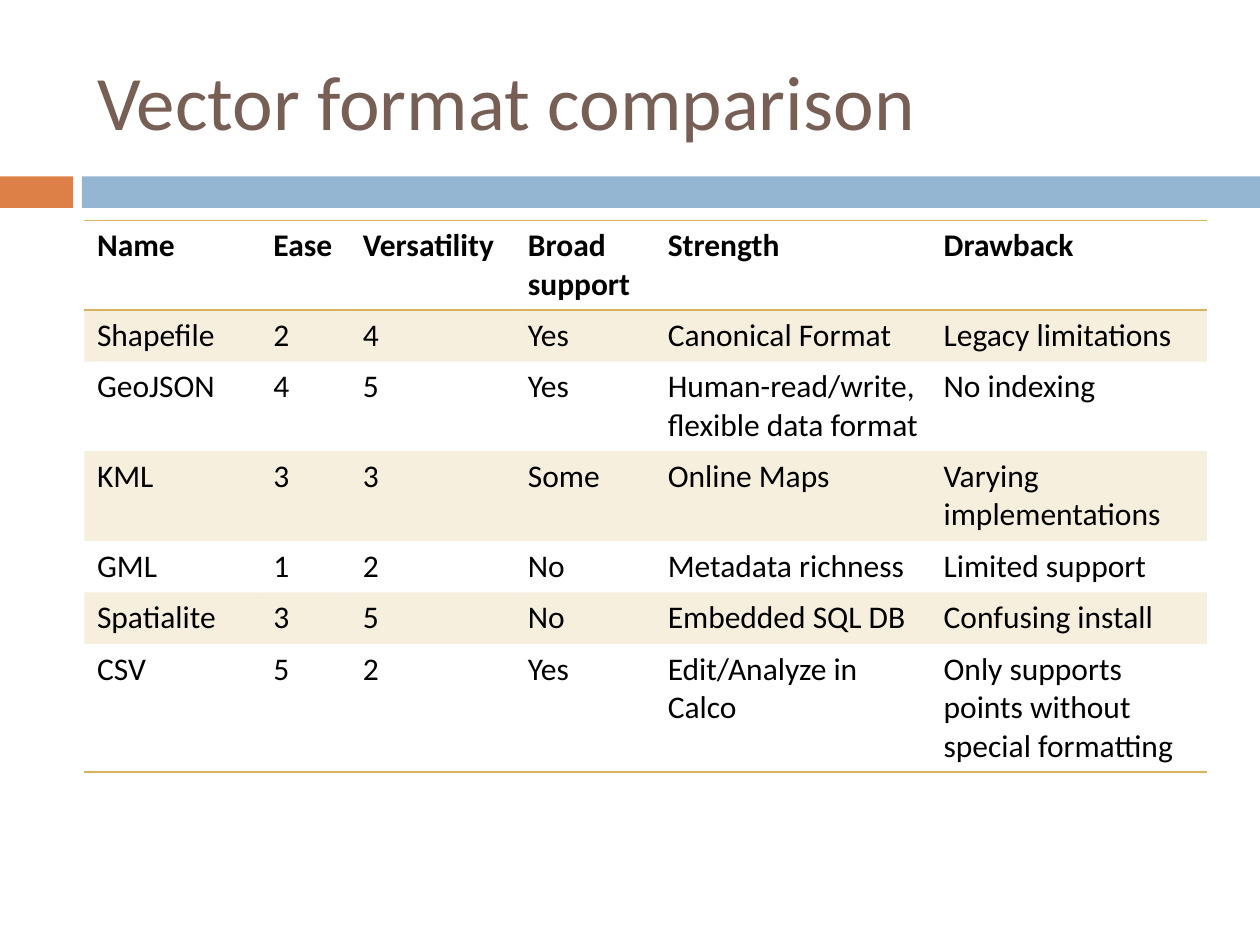
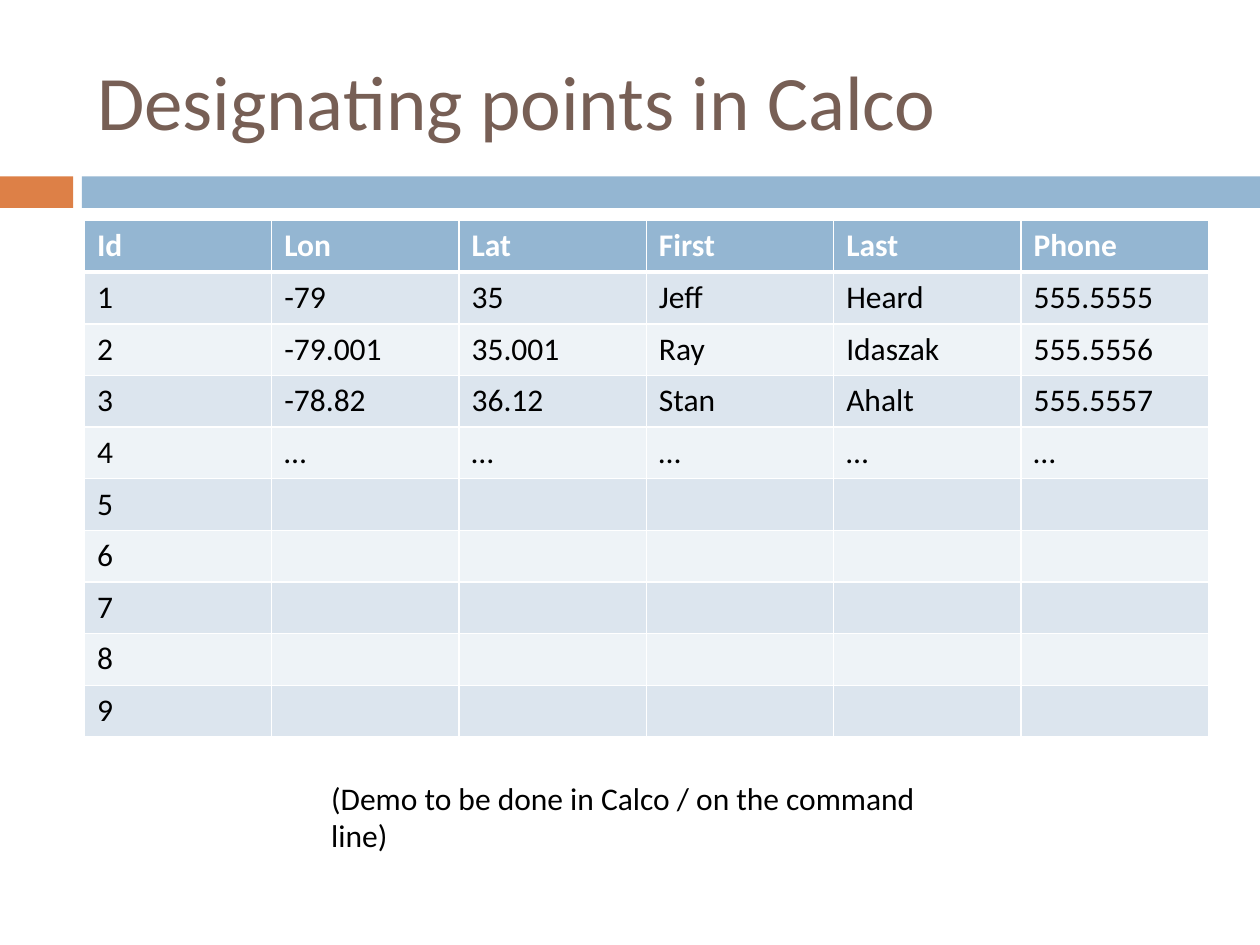
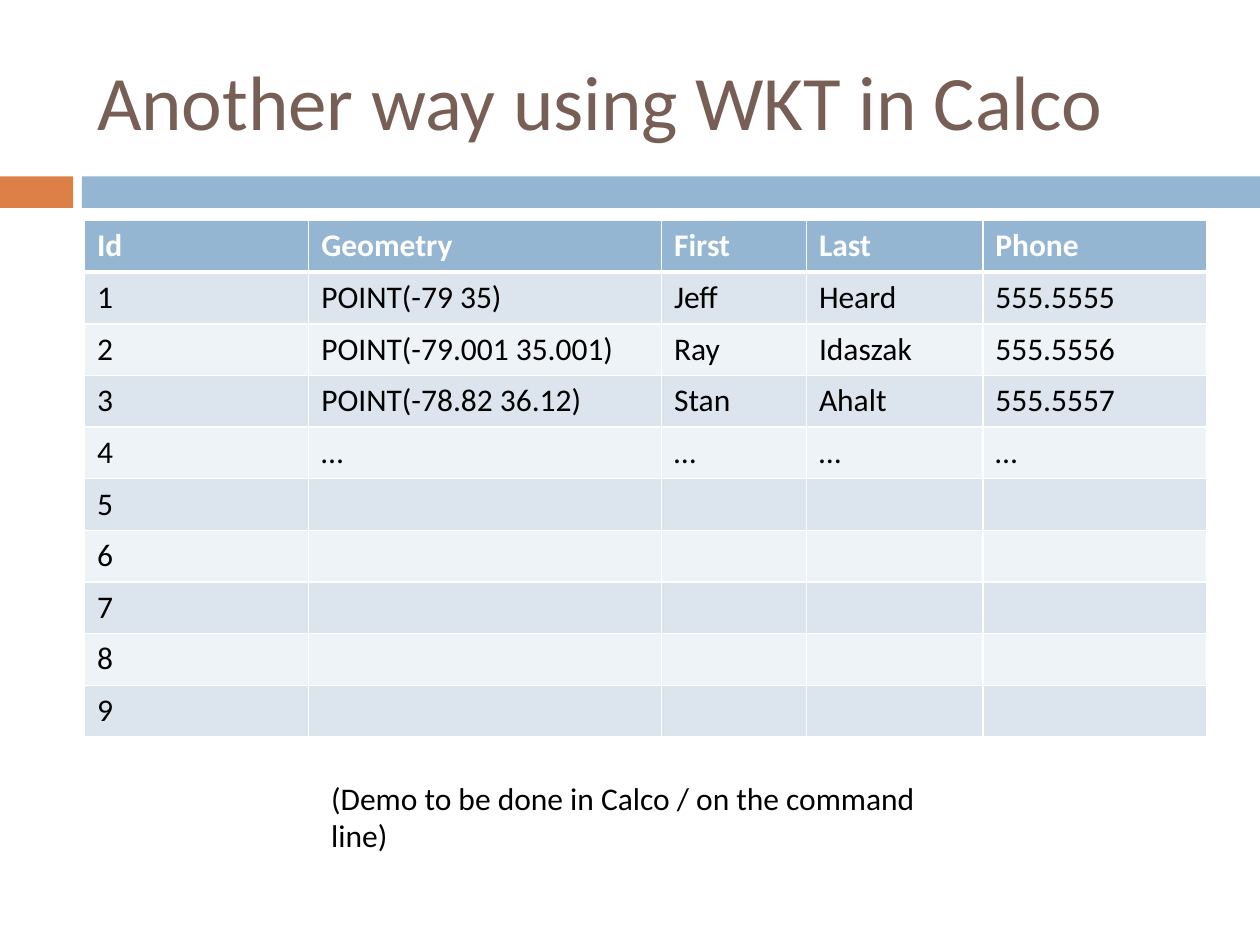
from pptx import Presentation
from pptx.dml.color import RGBColor
from pptx.enum.shapes import MSO_SHAPE
from pptx.enum.text import MSO_ANCHOR, MSO_AUTO_SIZE, PP_ALIGN
from pptx.oxml.ns import qn
from pptx.util import Inches, Pt
from lxml.etree import SubElement

COLORS = {
    "title": "775F55",
    "orange": "DD8047",
    "blue": "94B6D2",
    "blue_band": "DCE5EE",
    "blue_light": "EEF3F7",
    "gold": "D8B25C",
    "white": "FFFFFF",
    "black": "000000",
}
FONT = "Calibri"
TITLE_BOX = (0.67, 0.25, 8.92, 1.08)
BAND_BOX = (0, 1.4, 10, 0.25)
TABLE_BOX = (0.67, 1.75, 8.92)
CAPTION_BOX = (2.53, 6.13, 5.21, 0.4)
ROW_HEIGHT = 0.41
SIDES = {"left": "a:lnL", "right": "a:lnR", "top": "a:lnT", "bottom": "a:lnB"}

FORMAT_ROWS = [
    ["Name", "Ease", "Versatility", "Broad support", "Strength", "Drawback"],
    ["Shapefile", "2", "4", "Yes", "Canonical Format", "Legacy limitations"],
    ["GeoJSON", "4", "5", "Yes", "Human-read/write, flexible data format", "No indexing"],
    ["KML", "3", "3", "Some", "Online Maps", "Varying implementations"],
    ["GML", "1", "2", "No", "Metadata richness", "Limited support"],
    ["Spatialite", "3", "5", "No", "Embedded SQL DB", "Confusing install"],
    ["CSV", "5", "2", "Yes", "Edit/Analyze in Calco",
     "Only supports points without special formatting"],
]
PEOPLE = [
    ["First", "Last", "Phone"],
    ["Jeff", "Heard", "555.5555"],
    ["Ray", "Idaszak", "555.5556"],
    ["Stan", "Ahalt", "555.5557"],
    ["…", "…", "…"],
]
COORDINATES = [["Lon", "Lat"], ["-79", "35"], ["-79.001", "35.001"],
               ["-78.82", "36.12"], ["…", "…"]]
GEOMETRIES = [["Geometry"], ["POINT(-79 35)"], ["POINT(-79.001 35.001)"],
              ["POINT(-78.82 36.12)"], ["…"]]
LAST_ID = 9


def rgb(name):
    return RGBColor.from_string(COLORS[name])


def write_text(frame, text, size=18, color="black", bold=False, align=PP_ALIGN.LEFT):
    paragraph = frame.paragraphs[0]
    paragraph.alignment = align
    paragraph.font.size = Pt(size)
    if text:
        run = paragraph.add_run()
        run.text = text
        run.font.name = FONT
        run.font.size = Pt(size)
        run.font.bold = bold
        run.font.color.rgb = rgb(color)


def set_borders(cell, borders):
    properties = cell._tc.get_or_add_tcPr()
    for side, tag in SIDES.items():
        color, width = borders.get(side, (None, 0))
        line = SubElement(properties, qn(tag), w=str(int(Pt(width))))
        if color:
            fill = SubElement(line, qn("a:solidFill"))
            SubElement(fill, qn("a:srgbClr"), val=COLORS[color])
        else:
            SubElement(line, qn("a:noFill"))


def fill_cell(cell, color, opacity=100):
    if color is None:
        cell.fill.background()
        return
    cell.fill.solid()
    cell.fill.fore_color.rgb = rgb(color)
    if opacity < 100:
        color_element = cell._tc.tcPr.find(qn("a:solidFill")).find(qn("a:srgbClr"))
        SubElement(color_element, qn("a:alpha"), val=str(opacity * 1000))


def style_gold_cell(cell, row, row_count):
    rule = ("gold", 1)
    borders = {}
    if row == 0:
        borders["top"] = rule
    if row in (0, row_count - 1):
        borders["bottom"] = rule
    if row == 1:
        borders["top"] = rule
    set_borders(cell, borders)
    fill_cell(cell, "gold" if row % 2 else None, opacity=20)


def style_blue_cell(cell, row, row_count):
    borders = {side: ("white", 1) for side in SIDES}
    if row == 0:
        borders["bottom"] = ("white", 3)
    if row == 1:
        borders["top"] = ("white", 3)
    set_borders(cell, borders)
    fill_cell(cell, "blue" if row == 0 else "blue_band" if row % 2 else "blue_light")


def add_grid(slide, box, rows, column_widths, style_cell, header_color):
    left, top, width = box
    frame = slide.shapes.add_table(
        len(rows), len(column_widths), Inches(left), Inches(top),
        Inches(width), Inches(ROW_HEIGHT * len(rows)))
    table = frame.table
    for column, column_width in zip(table.columns, column_widths):
        column.width = Inches(column_width)
    for row, values in enumerate(rows):
        table.rows[row].height = Inches(ROW_HEIGHT)
        for column, value in enumerate(values):
            cell = table.cell(row, column)
            style_cell(cell, row, len(rows))
            write_text(cell.text_frame, value, bold=row == 0,
                       color=header_color if row == 0 else "black")


def add_bands(slide, box):
    left, top, width, height = box
    accent_width, bar_offset = 0.58, 0.65
    for offset, band_width, color in ((0, accent_width, "orange"),
                                      (bar_offset, width - bar_offset, "blue")):
        band = slide.shapes.add_shape(
            MSO_SHAPE.RECTANGLE, Inches(left + offset), Inches(top),
            Inches(band_width), Inches(height))
        band.shadow.inherit = False
        band.fill.solid()
        band.fill.fore_color.rgb = rgb(color)
        band.line.fill.background()


def add_titled_slide(presentation, text):
    slide = presentation.slides.add_slide(presentation.slide_layouts[5])
    add_bands(slide, BAND_BOX)
    title = slide.shapes.title
    title.left, title.top, title.width, title.height = map(Inches, TITLE_BOX)
    title.text_frame.vertical_anchor = MSO_ANCHOR.MIDDLE
    write_text(title.text_frame, text, size=44, color="title")
    return slide


def add_caption(slide, box, text):
    caption = slide.shapes.add_textbox(*map(Inches, box))
    caption.text_frame.word_wrap = True
    caption.text_frame.auto_size = MSO_AUTO_SIZE.SHAPE_TO_FIT_TEXT
    write_text(caption.text_frame, text)


def add_comparison_slide(presentation):
    slide = add_titled_slide(presentation, "Vector format comparison")
    add_grid(slide, TABLE_BOX, FORMAT_ROWS, [1.4, 0.71, 1.31, 1.11, 2.19, 2.19],
             style_gold_cell, "black")


def add_spreadsheet_slide(presentation, title, locations, column_widths):
    slide = add_titled_slide(presentation, title)
    ids = ["Id"] + [str(number) for number in range(1, LAST_ID + 1)]
    rows = [[label] for label in ids]
    for row, location, person in zip(rows, locations, PEOPLE):
        row.extend(location + person)
    for row in rows:
        row.extend([""] * (len(column_widths) - len(row)))
    add_grid(slide, TABLE_BOX, rows, column_widths, style_blue_cell, "white")
    add_caption(slide, CAPTION_BOX, "(Demo to be done in Calco / on the command line)")


def main():
    presentation = Presentation()
    presentation.slide_width = Inches(10)
    presentation.slide_height = Inches(7.5)
    add_comparison_slide(presentation)
    add_spreadsheet_slide(presentation, "Designating points in Calco",
                          COORDINATES, [TABLE_BOX[2] / 6] * 6)
    add_spreadsheet_slide(presentation, "Another way using WKT in Calco",
                          GEOMETRIES, [1.78, 2.8, 1.15, 1.4, 1.78])
    presentation.save("out.pptx")


if __name__ == "__main__":
    main()
